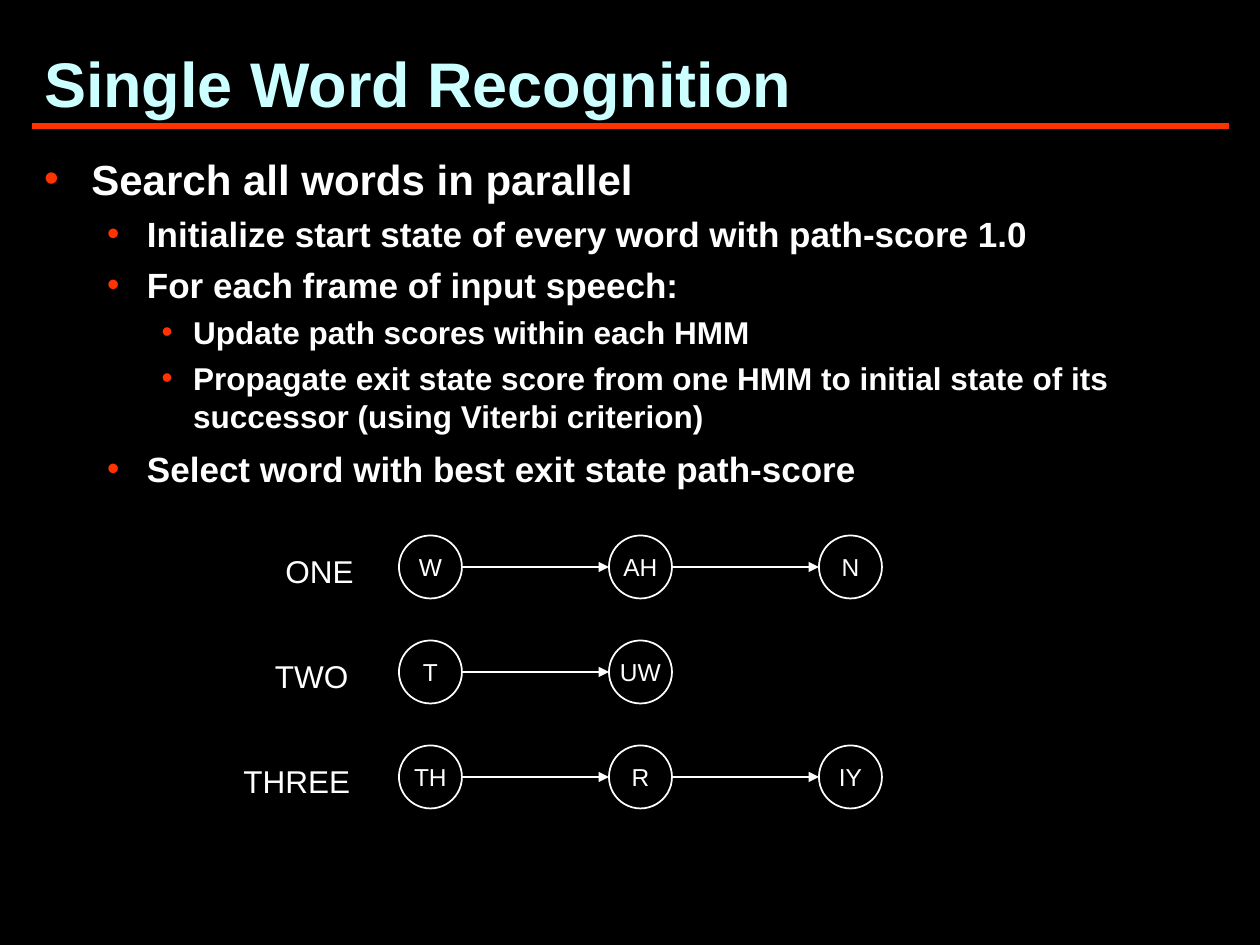
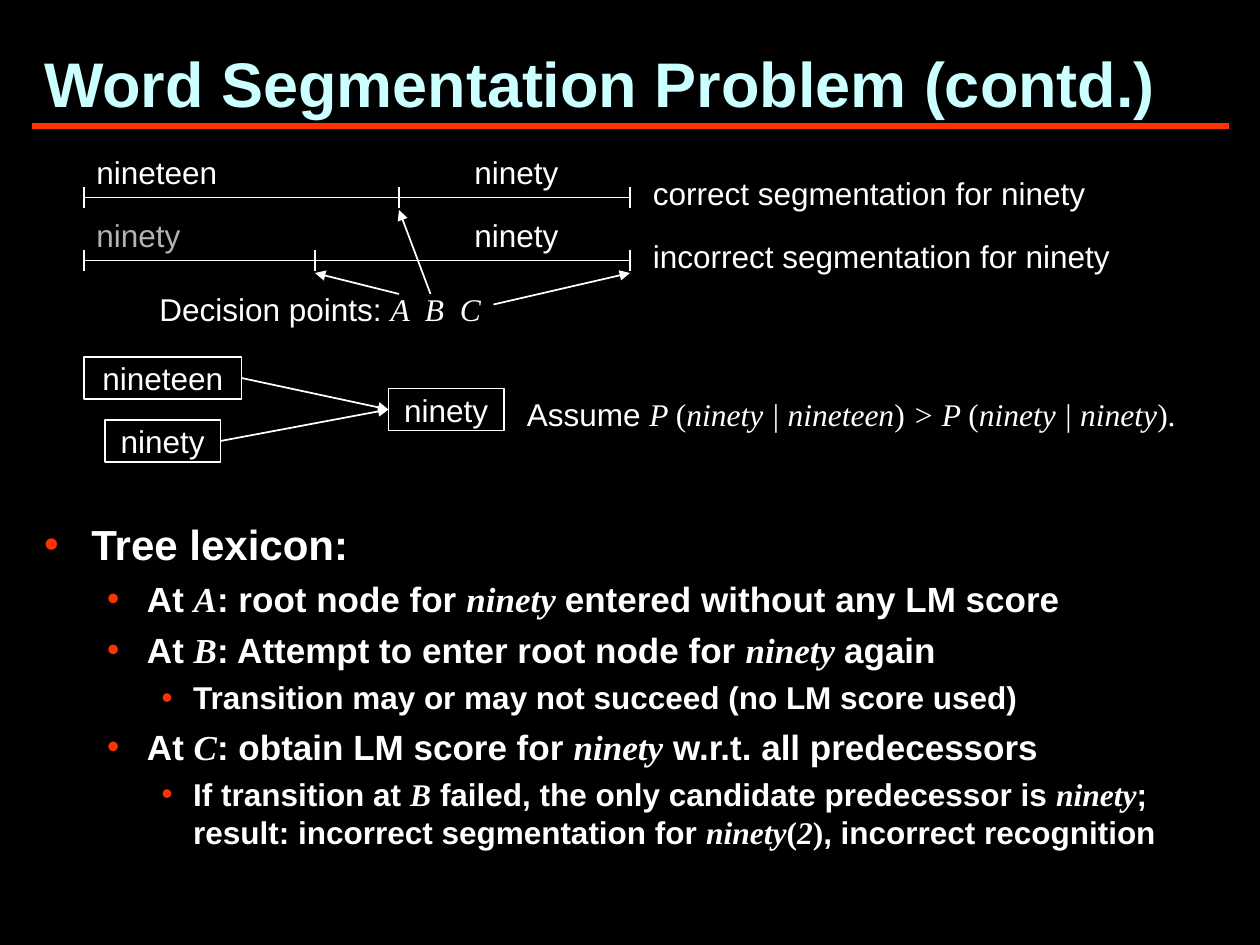
from dataclasses import dataclass

from pptx import Presentation
from pptx.dml.color import RGBColor
from pptx.enum.shapes import MSO_CONNECTOR, MSO_SHAPE
from pptx.enum.text import MSO_ANCHOR, MSO_AUTO_SIZE, PP_ALIGN
from pptx.oxml.ns import qn
from pptx.util import Emu, Pt
from lxml import etree

STRAIGHT = MSO_CONNECTOR.STRAIGHT
OVAL, RECT = MSO_SHAPE.OVAL, MSO_SHAPE.RECTANGLE
TOP, MIDDLE, BOTTOM = MSO_ANCHOR.TOP, MSO_ANCHOR.MIDDLE, MSO_ANCHOR.BOTTOM
LEFT, CENTER = PP_ALIGN.LEFT, PP_ALIGN.CENTER
FIXED = MSO_AUTO_SIZE.NONE
RIGHT_SIDE, LEFT_SIDE = 3, 1
PX = 7620  # EMU per px, 120 px to the inch


@dataclass(frozen=True)
class Theme:
    background: str = "000000"
    title: str = "CCFFFF"
    accent: str = "FF3300"
    text: str = "FFFFFF"
    muted: str = "B2B2B2"
    sans: str = "Arial"
    serif: str = "Times New Roman"
    title_size: int = 36
    label_size: int = 18
    state_size: int = 14
    rule_width: int = 4
    line_width: int = 1


@dataclass(frozen=True)
class Level:
    size: int
    margin: int
    hang: int
    before: float


@dataclass(frozen=True)
class Run:
    text: str
    serif: bool = False
    italic: bool = False


@dataclass(frozen=True)
class Bullet:
    level: int
    runs: list[Run]
    spacing: float = 1.0


@dataclass(frozen=True)
class Box:
    x: int
    y: int
    w: int
    h: int

    def emu(self) -> list[Emu]:
        return [px(v) for v in (self.x, self.y, self.w, self.h)]


@dataclass(frozen=True)
class Word:
    name: str
    label_width: int
    states: list[str]


@dataclass(frozen=True)
class Segmentation:
    first: str
    first_color: str
    split: int
    caption: str
    caption_width: int


THEME = Theme()
LEVELS = [Level(24, 45, 45, 6), Level(20, 98, 38, 5), Level(18, 142, 30, 4.5)]
TITLE_BOX = Box(30, 35, 1140, 85)
LABEL_HEIGHT = 48


def px(value: int) -> Emu:
    return Emu(value * PX)


def sans(text: str) -> Run:
    return Run(text)


def term(text: str) -> Run:
    return Run(text, serif=True, italic=True)


def upright(text: str) -> Run:
    return Run(text, serif=True)


# Text
def add_runs(p, runs: list[Run], size: int, color: str, bold: bool = False) -> None:
    for run in runs:
        r = p.add_run()
        r.text = run.text
        r.font.name = THEME.serif if run.serif else THEME.sans
        r.font.size = Pt(size)
        r.font.bold = bold
        r.font.italic = run.italic
        r.font.color.rgb = RGBColor.from_string(color)


def place(sp, box: Box, anchor) -> None:
    sp.left, sp.top, sp.width, sp.height = box.emu()
    tf = sp.text_frame
    tf.auto_size = FIXED
    tf.word_wrap = True
    tf.vertical_anchor = anchor


def add_label(s, runs: list[Run], x: int, y: int, w: int, color: str = THEME.text) -> None:
    sp = s.shapes.add_textbox(*Box(x, y, w, LABEL_HEIGHT).emu())
    sp.text_frame.word_wrap = True
    add_runs(sp.text_frame.paragraphs[0], runs, THEME.label_size, color)


def add_bullet_mark(p, level: Level) -> None:
    ppr = p._p.get_or_add_pPr()
    ppr.set("marL", str(px(level.margin)))
    ppr.set("indent", str(px(-level.hang)))
    color = etree.SubElement(ppr, qn("a:buClr"))
    etree.SubElement(color, qn("a:srgbClr")).set("val", THEME.accent)
    etree.SubElement(ppr, qn("a:buChar")).set("char", "•")


def fill_body(s, bullets: list[Bullet], top: int) -> None:
    sp = s.placeholders[1]
    place(sp, Box(30, top, 1140, 840 - top), TOP)
    tf = sp.text_frame
    for i, bullet in enumerate(bullets):
        p = tf.add_paragraph() if i else tf.paragraphs[0]
        level = LEVELS[bullet.level]
        p.level = bullet.level
        p.space_before = Pt(level.before)
        p.line_spacing = bullet.spacing
        add_bullet_mark(p, level)
        add_runs(p, bullet.runs, level.size, THEME.text, bold=True)


# Lines and outlined shapes
def add_line(s, x1: int, y1: int, x2: int, y2: int, arrow: bool = False,
             color: str = THEME.text, width: int = THEME.line_width):
    cx = s.shapes.add_connector(STRAIGHT, px(x1), px(y1), px(x2), px(y2))
    cx.line.color.rgb = RGBColor.from_string(color)
    cx.line.width = Pt(width)
    if arrow:
        etree.SubElement(cx.line._get_or_add_ln(), qn("a:tailEnd")).set("type", "triangle")
    etree.SubElement(cx._element.spPr, qn("a:effectLst"))
    return cx


def add_outline(s, kind, box: Box, text: str, size: int):
    sp = s.shapes.add_shape(kind, *box.emu())
    sp.shadow.inherit = False
    sp.fill.background()
    sp.line.color.rgb = RGBColor.from_string(THEME.text)
    sp.line.width = Pt(THEME.line_width)
    tf = sp.text_frame
    tf.word_wrap = False
    tf.vertical_anchor = MIDDLE
    p = tf.paragraphs[0]
    p.alignment = CENTER
    add_runs(p, [sans(text)], size, THEME.text)
    return sp


# Shared slide frame: title and rule
def add_slide(prs, title: str):
    s = prs.slides.add_slide(prs.slide_layouts[1])
    add_line(s, 30, 120, 1170, 120, color=THEME.accent, width=THEME.rule_width)
    place(s.shapes.title, TITLE_BOX, BOTTOM)
    p = s.shapes.title.text_frame.paragraphs[0]
    p.alignment = LEFT
    add_runs(p, [sans(title)], THEME.title_size, THEME.title, bold=True)
    return s


# Slide 1: parallel word models
def add_word_model(s, word: Word, y: int) -> None:
    size, pitch, left = 60, 200, 380
    add_label(s, [sans(word.name)], 350 - word.label_width, y + 10, word.label_width)
    for i, state in enumerate(word.states):
        x = left + i * pitch
        add_outline(s, OVAL, Box(x, y, size, size), state, THEME.state_size)
        if i:
            add_line(s, x - pitch + size, y + size // 2, x, y + size // 2, arrow=True)


def build_word_recognition(prs) -> None:
    s = add_slide(prs, "Single Word Recognition")
    fill_body(s, [
        Bullet(0, [sans("Search all words in parallel")]),
        Bullet(1, [sans("Initialize start state of every word with path-score 1.0")]),
        Bullet(1, [sans("For each frame of input speech:")]),
        Bullet(2, [sans("Update path scores within each HMM")]),
        Bullet(2, [sans("Propagate exit state score from one HMM to initial state of its "
                        "successor (using Viterbi criterion)")]),
        Bullet(1, [sans("Select word with best exit state path-score")], spacing=1.1),
    ], top=140)
    words = [
        Word("ONE", 90, ["W", "AH", "N"]),
        Word("TWO", 100, ["T", "UW"]),
        Word("THREE", 130, ["TH", "R", "IY"]),
    ]
    for row, word in enumerate(words):
        add_word_model(s, word, 510 + row * 100)


# Slide 2: segmentation timelines, word graph and tree lexicon
def add_timeline(s, seg: Segmentation, y: int) -> None:
    start, end, axis = 80, 600, y + 48
    add_label(s, [sans(seg.first)], start, y, 140, seg.first_color)
    add_label(s, [sans("ninety")], 440, y, 110)
    add_label(s, [sans(seg.caption)], 610, y + 20, seg.caption_width)
    add_line(s, start, axis, end, axis)
    for x in (start, seg.split, end):
        add_line(s, x, axis - 10, x, axis + 10)


def add_word_graph(s) -> None:
    size = THEME.label_size
    nineteen = add_outline(s, RECT, Box(80, 340, 150, 40), "nineteen", size)
    ninety = add_outline(s, RECT, Box(100, 400, 110, 40), "ninety", size)
    successor = add_outline(s, RECT, Box(370, 370, 110, 40), "ninety", size)
    for word, x, y in ((nineteen, 230, 360), (ninety, 210, 420)):
        cx = add_line(s, x, y, 370, 390, arrow=True)
        cx.begin_connect(word, RIGHT_SIDE)
        cx.end_connect(successor, LEFT_SIDE)


def build_word_segmentation(prs) -> None:
    s = add_slide(prs, "Word Segmentation Problem (contd.)")
    timelines = [
        Segmentation("nineteen", THEME.text, 380, "correct segmentation for ninety", 450),
        Segmentation("ninety", THEME.muted, 300, "incorrect segmentation for ninety", 460),
    ]
    for row, seg in enumerate(timelines):
        add_timeline(s, seg, 140 + row * 60)

    add_label(s, [sans("Decision points: "), term("A  B  C")], 140, 270, 340)
    for ends in ((380, 280, 300, 260), (410, 280, 380, 200), (470, 290, 600, 260)):
        add_line(s, *ends, arrow=True)

    add_word_graph(s)
    add_label(s, [sans("Assume "), term("P "), upright("("), term("ninety | nineteen"),
                  upright(")"), term(" > P "), upright("("), term("ninety | ninety"),
                  upright(").")], 490, 370, 650)

    fill_body(s, [
        Bullet(0, [sans("Tree lexicon:")]),
        Bullet(1, [sans("At "), term("A"), sans(": root node for "), term("ninety "),
                   sans("entered without any LM score")]),
        Bullet(1, [sans("At "), term("B"), sans(": Attempt to enter root node for "),
                   term("ninety "), sans("again")]),
        Bullet(2, [sans("Transition may or may not succeed (no LM score used)")]),
        Bullet(1, [sans("At "), term("C"), sans(": obtain LM score for "), term("ninety"),
                   sans(" w.r.t. all predecessors")]),
        Bullet(2, [sans("If transition at "), term("B"),
                   sans(" failed, the only candidate predecessor is "), term("ninety"),
                   sans("; result: incorrect segmentation for "), term("ninety"),
                   upright("("), term("2"), upright(")"), sans(", incorrect recognition")]),
    ], top=488)


def main() -> None:
    prs = Presentation()
    prs.slide_width, prs.slide_height = px(1200), px(900)
    fill = prs.slide_master.background.fill
    fill.solid()
    fill.fore_color.rgb = RGBColor.from_string(THEME.background)
    build_word_recognition(prs)
    build_word_segmentation(prs)
    prs.save("out.pptx")


if __name__ == "__main__":
    main()
